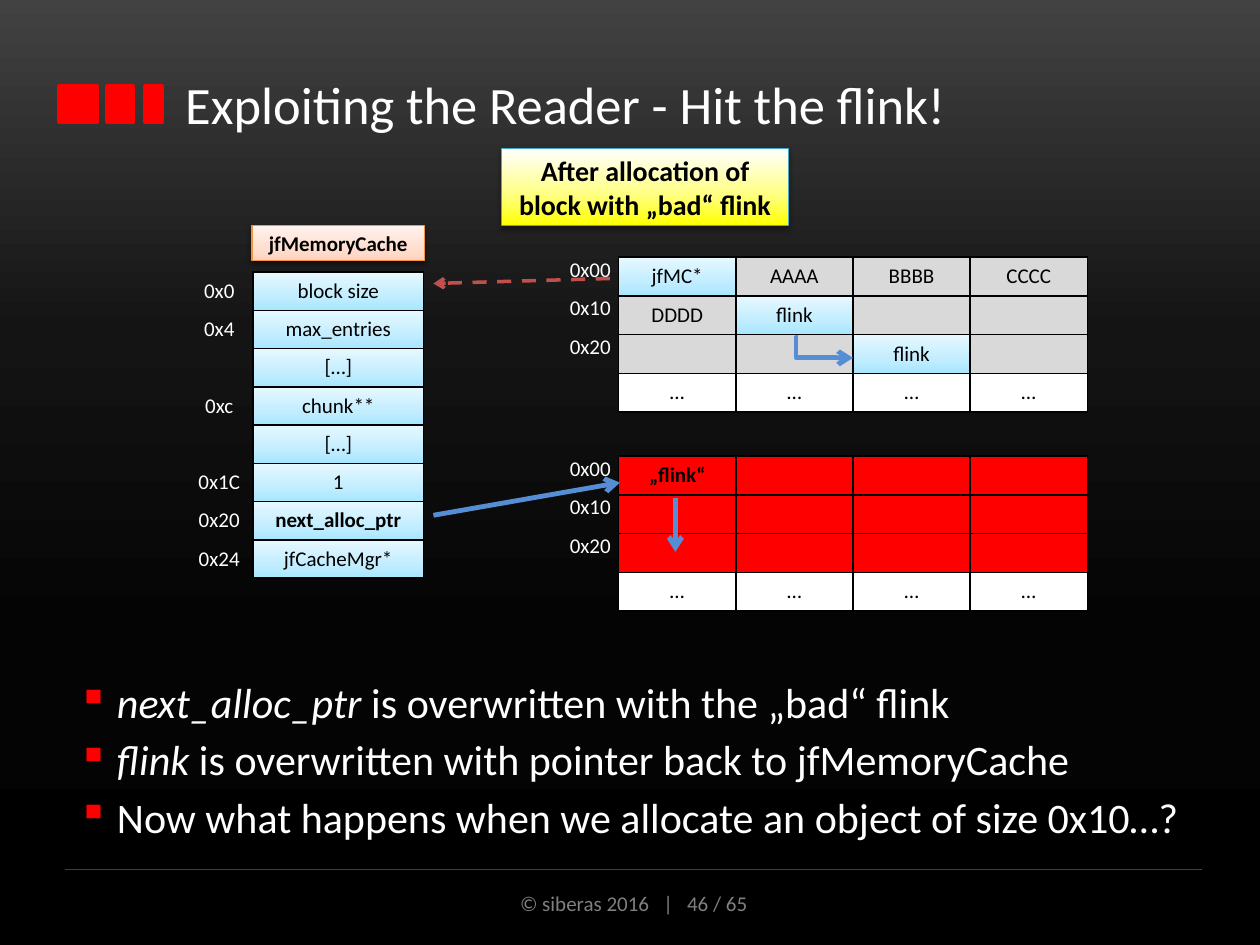
from lxml.etree import SubElement
from pptx import Presentation
from pptx.dml.color import RGBColor
from pptx.enum.dml import MSO_LINE_DASH_STYLE as Dash
from pptx.enum.shapes import MSO_CONNECTOR as Connector, MSO_SHAPE as Shape
from pptx.enum.text import MSO_ANCHOR as Anchor, PP_ALIGN as Align
from pptx.oxml.ns import qn
from pptx.util import Inches, Pt

WIDTH, HEIGHT = Inches(10), Inches(7.5)
FONT = "Calibri"
COLORS = {
    "white": "FFFFFF", "black": "000000", "red": "FF0000", "gray": "D9D9D9",
    "footer": "808080", "rule": "404040", "blue": "558ED5", "brick": "C0504D",
    "orange": "F69240", "teal": "46AAC5",
}
GRADIENTS = {
    "background": [(0, "424242"), (35, "141414"), (67, "040404"), (100, "000000")],
    "sky": [(0, "A7E6FF"), (35, "C1EDFF"), (100, "E7F8FF")],
    "peach": [(0, "FFD2BD"), (35, "FFDED0"), (100, "FFF2ED")],
    "yellow": [(0, "FFFF00"), (39, "FFFF80"), (100, "FFFFFF")],
}
CELL_FILLS = {"jfMC*": "sky", "flink": "sky", "…": "white"}
BOLD_CELLS = {"„flink“", "next_alloc_ptr"}
NO_STYLE = "{2D5ABB26-0587-4C30-8999-92F81FD0307C}"

CACHE_FIELDS = [
    ["0x0", "block size"], ["0x4", "max_entries"], ["", "[…]"], ["0xc", "chunk**"],
    ["", "[…]"], ["0x1C", "1"], ["0x20", "next_alloc_ptr"], ["0x24", "jfCacheMgr*"],
]
USED_BLOCK = [
    ["0x00", "jfMC*", "AAAA", "BBBB", "CCCC"],
    ["0x10", "DDDD", "flink", "", ""],
    ["0x20", "", "", "flink", ""],
    [""] + ["…"] * 4,
]
BAD_BLOCK = [
    ["0x00", "„flink“", "", "", ""],
    ["0x10"] + [""] * 4,
    ["0x20"] + [""] * 4,
    [""] + ["…"] * 4,
]
BULLETS = [
    ("next_alloc_ptr ", "is overwritten with the „bad“ flink"),
    ("flink ", "is overwritten with pointer back to jfMemoryCache"),
    ("", "Now what happens when we allocate an object of size 0x10…?"),
]


def across(percent):
    return round(WIDTH * percent / 100)


def down(percent):
    return round(HEIGHT * percent / 100)


def area(left, top, width, height):
    return across(left), down(top), across(width), down(height)


def rgb(name):
    return RGBColor.from_string(COLORS[name])


def paint(fill, owner, name, angle=90):
    if name in COLORS:
        fill.solid()
        fill.fore_color.rgb = rgb(name)
        return
    fill.gradient()
    fill.gradient_angle = angle
    stops = owner.find(".//" + qn("a:gsLst"))
    for stop in list(stops):
        stops.remove(stop)
    for position, color in GRADIENTS[name]:
        stop = SubElement(stops, qn("a:gs"), pos=str(position * 1000))
        SubElement(stop, qn("a:srgbClr"), val=color)


def format_runs(paragraph, size, color, bold=False):
    for run in paragraph.runs:
        run.font.name = FONT
        run.font.size = Pt(size)
        run.font.bold = bold
        run.font.color.rgb = rgb(color)


def add_rectangle(slide, bounds, fill, line, line_width):
    shape = slide.shapes.add_shape(Shape.RECTANGLE, *bounds)
    shape.shadow.inherit = False
    paint(shape.fill, shape.element, fill)
    shape.line.color.rgb = rgb(line)
    shape.line.width = Pt(line_width)
    return shape


def add_callout(slide, bounds, text, size, fill, line):
    shape = add_rectangle(slide, bounds, fill, line, 0.75)
    effects = shape.element.spPr.find(qn("a:effectLst"))
    shadow = SubElement(effects, qn("a:outerShdw"), blurRad=str(Pt(3.1)),
                        dist=str(Pt(1.6)), dir="5400000", rotWithShape="0")
    color = SubElement(shadow, qn("a:srgbClr"), val=COLORS["black"])
    SubElement(color, qn("a:alpha"), val="38000")
    frame = shape.text_frame
    frame.text = text
    frame.word_wrap = True
    frame.vertical_anchor = Anchor.MIDDLE
    frame.paragraphs[0].alignment = Align.CENTER
    format_runs(frame.paragraphs[0], size, "black", True)


def add_line(slide, start, end, color, width, kind=Connector.STRAIGHT, arrow=True):
    line = slide.shapes.add_connector(kind, across(start[0]), down(start[1]),
                                      across(end[0]), down(end[1]))
    line.line.color.rgb = rgb(color)
    line.line.width = Pt(width)
    properties = line._element.spPr
    if arrow:
        SubElement(properties.find(qn("a:ln")), qn("a:tailEnd"), type="arrow")
    SubElement(properties, qn("a:effectLst"))
    return line


def add_borders(cell):
    properties = cell._tc.get_or_add_tcPr()
    for index, side in enumerate(("lnL", "lnR", "lnT", "lnB")):
        border = SubElement(properties, qn("a:" + side), w=str(Pt(1)))
        solid = SubElement(border, qn("a:solidFill"))
        SubElement(solid, qn("a:srgbClr"), val=COLORS["black"])
        properties.insert(index, border)


def add_memory_table(slide, left, top, columns, row_height, rows, base_fill, inset):
    bounds = area(left, top, sum(columns), row_height * len(rows))
    table = slide.shapes.add_table(len(rows), len(columns), *bounds).table
    table.first_row = table.horz_banding = False
    table._tbl.tblPr.find(qn("a:tableStyleId")).text = NO_STYLE
    for column, width in zip(table.columns, columns):
        column.width = across(width)
    for row_index, texts in enumerate(rows):
        for column_index, text in enumerate(texts):
            cell = table.cell(row_index, column_index)
            cell.margin_left = cell.margin_right = Inches(inset)
            cell.margin_top = cell.margin_bottom = Inches(inset)
            cell.text = text
            paragraph = cell.text_frame.paragraphs[0]
            paragraph.alignment = Align.CENTER
            SubElement(paragraph._p, qn("a:endParaRPr"), sz="1200")
            if column_index == 0:
                format_runs(paragraph, 12, "white")
                continue
            cell.vertical_anchor = Anchor.MIDDLE
            format_runs(paragraph, 12, "black", text in BOLD_CELLS)
            paint(cell.fill, cell._tc, CELL_FILLS.get(text, base_fill))
            add_borders(cell)


def add_title(slide, text):
    title = slide.shapes.title
    title.left, title.top, title.width, title.height = area(13.7, 5.2, 80.9, 11.6)
    title.text_frame.text = text
    title.text_frame.vertical_anchor = Anchor.MIDDLE
    title.text_frame.paragraphs[0].alignment = Align.LEFT
    format_runs(title.text_frame.paragraphs[0], 30, "white")


def add_bullets(slide):
    frame = slide.shapes.add_textbox(*area(5.2, 70.93, 93.7, 20.93)).text_frame
    frame.word_wrap = True
    for index, (term, statement) in enumerate(BULLETS):
        paragraph = frame.add_paragraph() if index else frame.paragraphs[0]
        properties = paragraph._p.get_or_add_pPr()
        properties.set("marL", str(Inches(0.31)))
        properties.set("indent", str(-Inches(0.31)))
        color = SubElement(properties, qn("a:buClr"))
        SubElement(color, qn("a:srgbClr"), val=COLORS["red"])
        SubElement(properties, qn("a:buChar"), char="▪")
        paragraph.space_before = Pt(4 if index else 0)
        if term:
            run = paragraph.add_run()
            run.text = term
            run.font.italic = True
        paragraph.add_run().text = statement
        format_runs(paragraph, 24, "white")


def add_footer(slide, text):
    add_line(slide, (5.2, 92), (95.4, 92), "rule", 0.75, arrow=False)
    frame = slide.shapes.add_textbox(*area(33.7, 93.6, 33.2, 4)).text_frame
    frame.word_wrap = True
    frame.text = text
    frame.paragraphs[0].alignment = Align.CENTER
    format_runs(frame.paragraphs[0], 12, "footer")


def main():
    presentation = Presentation()
    presentation.slide_width, presentation.slide_height = WIDTH, HEIGHT
    slide = presentation.slides.add_slide(presentation.slide_layouts[5])
    paint(slide.background.fill, slide.element, "background", 270)
    for left, width in ((4.7, 3), (8.5, 2.1), (11.5, 1.4)):
        add_rectangle(slide, area(left, 9.07, width, 3.87), "red", "red", 2)
    add_title(slide, "Exploiting the Reader - Hit the flink!")
    add_footer(slide, "© siberas 2016   |   46 / 65")
    add_bullets(slide)

    block_columns = [4.5] + [9.3] * 4
    add_memory_table(slide, 44.6, 27.2, block_columns, 4.1, USED_BLOCK, "gray", 0)
    add_memory_table(slide, 44.6, 48.27, block_columns, 4.1, BAD_BLOCK, "red", 0)
    add_memory_table(slide, 14.7, 28.8, [5.4, 13.5], 4.05, CACHE_FIELDS, "sky", 0.05)
    add_callout(slide, area(20, 23.87, 13.7, 3.73), "jfMemoryCache", 12, "peach", "orange")
    add_callout(slide, area(39.8, 15.73, 22.8, 8.13),
                "After allocation of block with „bad“ flink", 16, "yellow", "teal")

    add_line(slide, (34.4, 54.53), (49.2, 51.07), "blue", 2.75)
    add_line(slide, (53.6, 52.67), (53.6, 58.4), "blue", 2.75)
    bent = add_line(slide, (63.3, 35.73), (67.7, 37.87), "blue", 2.75, Connector.ELBOW)
    guides = bent._element.find(".//" + qn("a:avLst"))
    SubElement(guides, qn("a:gd"), name="adj1", fmla="val -2800")
    back = add_line(slide, (48.4, 29.47), (34.4, 30), "brick", 2)
    back.line.dash_style = Dash.DASH
    presentation.save("out.pptx")


if __name__ == "__main__":
    main()
